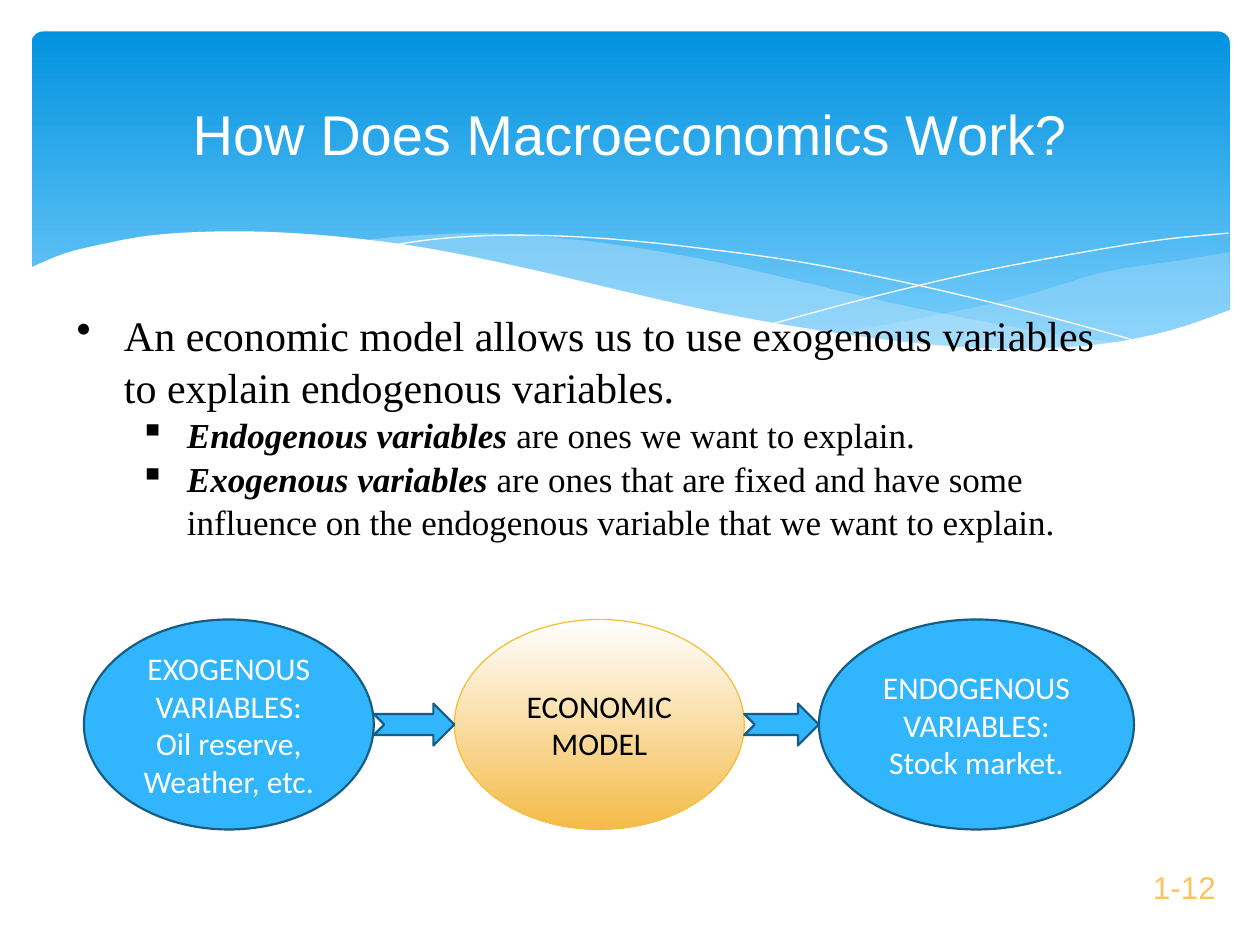
from lxml import etree
from pptx import Presentation
from pptx.dml.color import RGBColor
from pptx.enum.shapes import MSO_SHAPE
from pptx.enum.text import MSO_ANCHOR, PP_ALIGN
from pptx.oxml.ns import qn
from pptx.util import Pt

ROUNDED, ELLIPSE = MSO_SHAPE.ROUNDED_RECTANGLE, MSO_SHAPE.OVAL
ARROW = MSO_SHAPE.NOTCHED_RIGHT_ARROW
TOP, MIDDLE = MSO_ANCHOR.TOP, MSO_ANCHOR.MIDDLE
LEFT, CENTER, RIGHT = PP_ALIGN.LEFT, PP_ALIGN.CENTER, PP_ALIGN.RIGHT

COLORS = {
    "white": "FFFFFF", "black": "000000", "band_top": "0293E0", "band_bottom": "83D3FE",
    "wave": "C6E7FC", "blue": "31B6FD", "navy": "165D83",
    "gold": "F4BB49", "gold_line": "F5C040", "page": "FEC35F",
}

# Knots of the header curves, in points from the band's top left corner
RIGHT_WAVE_TOP = [(684.7, 126), (655, 131), (613, 137.5), (561.6, 152.6), (507, 164), (458, 173)]
RIGHT_WAVE_BOTTOM = [(458, 173), (489.6, 177), (527, 180.7), (560, 182), (597, 180.7),
                     (628, 176.4), (655, 170.6), (684.7, 159.8)]
LONG_WAVE_TOP = [(625, 178.6), (584.6, 172.8), (540, 165), (490, 154.8), (435, 141.8),
                 (391.7, 131.8), (352, 124.6), (316, 119.5), (284.4, 116.6),
                 (255.6, 115.2), (229.7, 116), (207.4, 117.4), (188, 119.5)]
LONG_WAVE_BOTTOM = [(188, 119.5), (228, 125.3), (273, 134), (305, 141.8), (363.6, 154.8),
                    (414.7, 165.6), (460.8, 173.5), (501.8, 179.3), (538.6, 182),
                    (571, 183), (599, 181.4), (625, 178.6)]
FALLING_LINE = [(204.5, 122.4), (229, 118.8), (260.6, 116.6), (293.8, 116.6), (334, 118.8),
                (382, 123.8), (440, 131.8), (505.4, 144.7), (580, 162.7), (635, 177.8)]
RISING_LINE = [(423.4, 167), (482.4, 151.2), (540.7, 137.5), (605.5, 125.3),
               (647.3, 118.8), (684, 115.2)]
WHITE_EDGE = [(685.4, 159), (651.6, 170.6), (612, 178.6), (564.5, 181.4), (517.7, 179.3),
              (463, 172.8), (399, 162), (344, 149.8), (283, 135.4), (226, 123.8),
              (177, 117.4), (134, 114.5), (98, 114.5), (67.7, 116.6), (43, 121),
              (19.4, 126.7), (-1.4, 135.4)]
WHITE_CORNERS = [(-1.4, 219), (685.4, 219)]

BULLETS = [
    (0, "•", 24, [("An economic model allows us to use exogenous variables "
                   "to explain endogenous variables.", False)]),
    (1, "▪", 20, [("Endogenous variables ", True), ("are ones we want to explain.", False)]),
    (1, "▪", 20, [("Exogenous variables ", True),
                  ("are ones that are fixed and have some influence on the "
                   "endogenous variable that we want to explain.", False)]),
]


def rgb(name):
    return RGBColor.from_string(COLORS[name])


def paint(shape, fill=None, line=None, width=1.25, alpha=None):
    """Fill with one colour name or a (top, bottom) pair; None leaves the part empty."""
    shape.shadow.inherit = False
    if fill is None:
        shape.fill.background()
    elif isinstance(fill, tuple):
        shape.fill.gradient()
        shape.fill.gradient_angle = 270
        for stop, name in zip(shape.fill.gradient_stops, fill):
            stop.color.rgb = rgb(name)
    else:
        shape.fill.solid()
        shape.fill.fore_color.rgb = rgb(fill)
    if alpha is not None:
        color = shape.fill._xPr.find(qn("a:solidFill"))[0]
        etree.SubElement(color, qn("a:alpha")).set("val", str(alpha * 1000))
    if line is None:
        shape.line.fill.background()
    else:
        shape.line.color.rgb = rgb(line)
        shape.line.width = Pt(width)


def style(paragraph, size, font, color, align=LEFT):
    paragraph.alignment = align
    paragraph.font.size = Pt(size)
    paragraph.font.name = font
    paragraph.font.color.rgb = rgb(color)


def text_frame(slide, box, anchor):
    frame = slide.shapes.add_textbox(*map(Pt, box)).text_frame
    frame.word_wrap = True
    frame.vertical_anchor = anchor
    return frame


def add_label(slide, box, text, size, color, align):
    paragraph = text_frame(slide, box, MIDDLE).paragraphs[0]
    paragraph.text = text
    style(paragraph, size, "Arial", color, align)


def smooth(knots, steps=4):
    """Points of a Catmull-Rom curve through the knots."""
    ends = [knots[0], *knots, knots[-1]]
    points = [knots[0]]
    for a, b, c, d in zip(ends, ends[1:], ends[2:], ends[3:]):
        for step in range(1, steps + 1):
            t = step / steps
            points.append(tuple(
                q + t / 2 * (r - p + t * (2 * p - 5 * q + 4 * r - s + t * (3 * (q - r) + s - p)))
                for p, q, r, s in zip(a, b, c, d)))
    return points


def add_outline(slide, origin, points, close, **paint_options):
    vertices = [(Pt(origin[0] + x), Pt(origin[1] + y)) for x, y in points]
    builder = slide.shapes.build_freeform(*vertices[0])
    builder.add_line_segments(vertices[1:], close=close)
    paint(builder.convert_to_shape(), **paint_options)


def add_header(slide, box):
    band = slide.shapes.add_shape(ROUNDED, *map(Pt, box))
    band.adjustments[0] = 0.034
    paint(band, ("band_top", "band_bottom"))

    # Translucent waves, thin lines, then the white lower edge
    origin = box[:2]
    for upper, lower, alpha in ((RIGHT_WAVE_TOP, RIGHT_WAVE_BOTTOM, 29),
                                (LONG_WAVE_TOP, LONG_WAVE_BOTTOM, 40)):
        add_outline(slide, origin, smooth(upper) + smooth(lower), True, fill="wave", alpha=alpha)
    for curve in (FALLING_LINE, RISING_LINE):
        add_outline(slide, origin, smooth(curve), False, line="white", width=0)
    add_outline(slide, origin, smooth(WHITE_EDGE) + WHITE_CORNERS, True, fill="white")


def add_bullets(slide, box):
    frame = text_frame(slide, box, TOP)
    for index, (level, mark, size, runs) in enumerate(BULLETS):
        paragraph = frame.add_paragraph() if index else frame.paragraphs[0]
        paragraph.level = level
        properties = paragraph._p.get_or_add_pPr()
        properties.set("marL", str(Pt(27 + 36 * level)))
        properties.set("indent", str(-Pt(27)))
        etree.SubElement(properties, qn("a:buChar")).set("char", mark)
        style(paragraph, size, "Times New Roman", "black")
        paragraph.line_spacing = 1.04
        for text, is_term in runs:
            run = paragraph.add_run()
            run.text = text
            if is_term:
                run.font.bold = run.font.italic = True


def add_model_flow(slide, box):
    left, top, width, height = box
    blue = {"fill": "blue", "line": "navy"}
    gold = {"fill": ("white", "gold"), "line": "gold_line", "width": 0.75}
    stages = [
        (0, 165.6, ["EXOGENOUS VARIABLES:", "Oil reserve, Weather, etc."], "white", blue),
        (211.7, 165.6, ["ECONOMIC MODEL"], "black", gold),
        (width - 180, 180, ["ENDOGENOUS VARIABLES:", "Stock market."], "white", blue),
    ]
    for x, stage_width, lines, text_color, look in stages:
        stage = slide.shapes.add_shape(ELLIPSE, Pt(left + x), Pt(top), Pt(stage_width), Pt(height))
        paint(stage, **look)
        frame = stage.text_frame
        frame.vertical_anchor = MIDDLE
        frame.text = "\n".join(lines)
        for paragraph in frame.paragraphs:
            style(paragraph, 18, "Calibri", text_color, CENTER)

    # Arrows fill the gaps between neighbouring stages
    arrow_height = 24
    for (x, stage_width, *_), (next_x, *_) in zip(stages, stages[1:]):
        start = x + stage_width
        arrow = slide.shapes.add_shape(
            ARROW, Pt(left + start), Pt(top + (height - arrow_height) / 2),
            Pt(next_x - start), Pt(arrow_height))
        paint(arrow, **blue)


def main():
    presentation = Presentation()
    presentation.slide_width, presentation.slide_height = Pt(720), Pt(540)
    slide = presentation.slides.add_slide(presentation.slide_layouts[6])
    add_header(slide, (18, 18, 684.7, 194.4))
    add_label(slide, (313.9, 492.5, 388, 28.8), "1-12", 18, "page", RIGHT)
    add_label(slide, (36, 27, 648, 98.6), "How Does Macroeconomics Work?", 32, "white", CENTER)
    add_bullets(slide, (36.7, 172, 599, 314))
    add_model_flow(slide, (48, 354, 600, 120))
    presentation.save("out.pptx")


if __name__ == "__main__":
    main()
